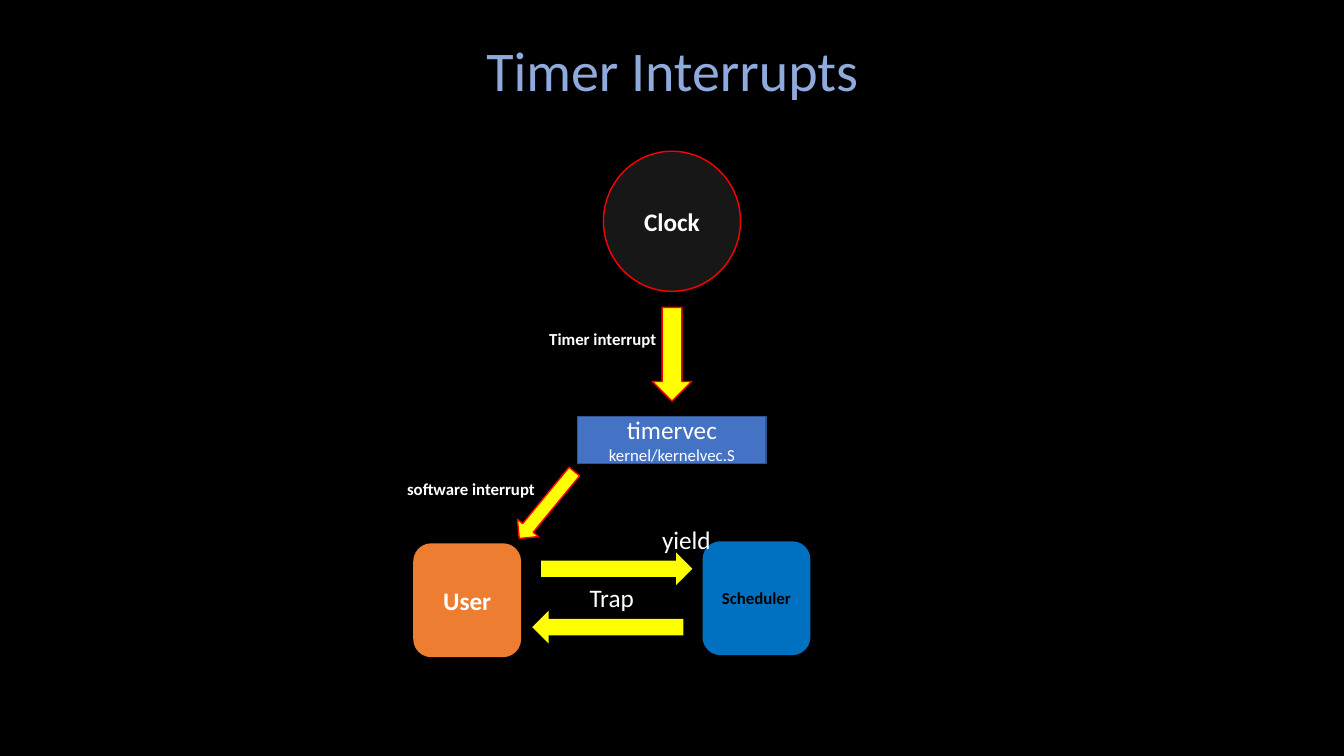
from dataclasses import dataclass
from pptx import Presentation, util as u
from pptx.dml.color import RGBColor
from pptx.enum import shapes, text

COLUMNS, ROWS = 160, 90
KIND = shapes.MSO_SHAPE


@dataclass(frozen=True)
class Theme:
    font: str = "Calibri"
    background: str = "000000"
    title: str = "8FAADC"
    white: str = "FFFFFF"
    black: str = "000000"
    clock: str = "181717"
    alert: str = "FF0000"
    arrow: str = "FFFF00"
    handler: str = "4472C4"
    handler_edge: str = "325491"
    user: str = "ED7D31"
    scheduler: str = "0070C0"
    title_size: int = 40
    large: int = 18
    small: int = 12


THEME = Theme()

deck = Presentation()
deck.slide_width, deck.slide_height = u.Inches(13.333), u.Inches(7.5)


def rgb(code):
    return RGBColor.from_string(code)


def place(box, x, y, width, height):
    """Turn grid cells inside a (left, top) box into slide lengths."""
    cell_w, cell_h = deck.slide_width / COLUMNS, deck.slide_height / ROWS
    return (round((box[0] + x) * cell_w), round((box[1] + y) * cell_h),
            round(width * cell_w), round(height * cell_h))


def write(frame, words, sizes, color=THEME.white, bold=False,
          align=text.PP_ALIGN.CENTER):
    """Each line of words takes its size from sizes."""
    frame.text = words
    for paragraph, size in zip(frame.paragraphs, sizes):
        paragraph.alignment = align
        for run in paragraph.runs:
            run.font.name, run.font.size = THEME.font, u.Pt(size)
            run.font.bold = bold
            run.font.color.rgb = rgb(color)


def block(slide, kind, spot, fill, edge=None):
    shape = slide.shapes.add_shape(kind, *spot)
    shape.shadow.inherit = False
    shape.fill.solid()
    shape.fill.fore_color.rgb = rgb(fill)
    if edge:
        shape.line.color.rgb = rgb(edge)
        shape.line.width = u.Pt(1)
    else:
        shape.line.fill.background()
    shape.text_frame.vertical_anchor = text.MSO_ANCHOR.MIDDLE
    return shape


def label(slide, spot, words, size, bold=False):
    """A one-line label whose box grows with its text."""
    frame = slide.shapes.add_textbox(*spot).text_frame
    frame.word_wrap = False
    frame.auto_size = text.MSO_AUTO_SIZE.SHAPE_TO_FIT_TEXT
    write(frame, words, [size], bold=bold, align=text.PP_ALIGN.LEFT)


def add_heading(slide, box):
    title = slide.shapes.title
    title.left, title.top, title.width, title.height = place(box, 0, 0, *box[2:])
    title.text_frame.vertical_anchor = text.MSO_ANCHOR.MIDDLE
    write(title.text_frame, "Timer Interrupts", [THEME.title_size], THEME.title)


def add_interrupt_path(slide, box):
    def centred(y, width, height):
        return place(box, (box[2] - width) / 2, y, width, height)

    # Clock, its interrupt and the handler share the central axis
    clock = block(slide, KIND.OVAL, centred(0, 16.32, 16.68),
                  THEME.clock, THEME.alert)
    write(clock.text_frame, "Clock", [THEME.large], bold=True)
    block(slide, KIND.DOWN_ARROW, centred(18.6, 4.68, 11.16),
          THEME.arrow, THEME.alert)
    handler = block(slide, KIND.RECTANGLE, centred(31.56, 22.44, 5.64),
                    THEME.handler, THEME.handler_edge)
    write(handler.text_frame, "timervec\nkernel/kernelvec.S",
          [THEME.large, THEME.small])

    # Software interrupt slants down to the user process
    software = block(slide, KIND.DOWN_ARROW,
                     place(box, 16.48, 36.96, 3.24, 10.32),
                     THEME.arrow, THEME.alert)
    software.rotation = 39.5

    label(slide, place(box, 17.2, 20.52, 15.36, 3.6),
          "Timer interrupt", THEME.small, bold=True)
    label(slide, place(box, 0.28, 38.4, 17.88, 3.6),
          "software interrupt", THEME.small, bold=True)


def add_context_switch(slide, box):
    # Processes
    for words, x, y, fill, size, color in (
            ("User", 0.2, 3.68, THEME.user, THEME.large, THEME.white),
            ("Scheduler", 34.64, 3.44, THEME.scheduler, THEME.small, THEME.black)):
        process = block(slide, KIND.ROUNDED_RECTANGLE,
                        place(box, x, y, 12.84, 13.56), fill)
        write(process.text_frame, words, [size], color, bold=True)

    # Transfers in both directions
    for kind, x, y in ((KIND.RIGHT_ARROW, 15.44, 4.76),
                       (KIND.LEFT_ARROW, 14.36, 11.72)):
        block(slide, kind, place(box, x, y, 18, 3.9), THEME.arrow)
    for words, x, y, width in (("Trap", 20, 7.76, 7.8),
                               ("yield", 28.64, 0.88, 8.4)):
        label(slide, place(box, x, y, width, 4.8), words, THEME.large)


slide = deck.slides.add_slide(deck.slide_layouts[5])
slide.background.fill.solid()
slide.background.fill.fore_color.rgb = rgb(THEME.background)

# Boxes are left, top, width, height in grid cells
add_heading(slide, (24.6, 3.6, 110.88, 9.24))
add_interrupt_path(slide, (47, 18, 66, 48))
add_context_switch(slide, (49, 61, 48, 18))

deck.save("out.pptx")
